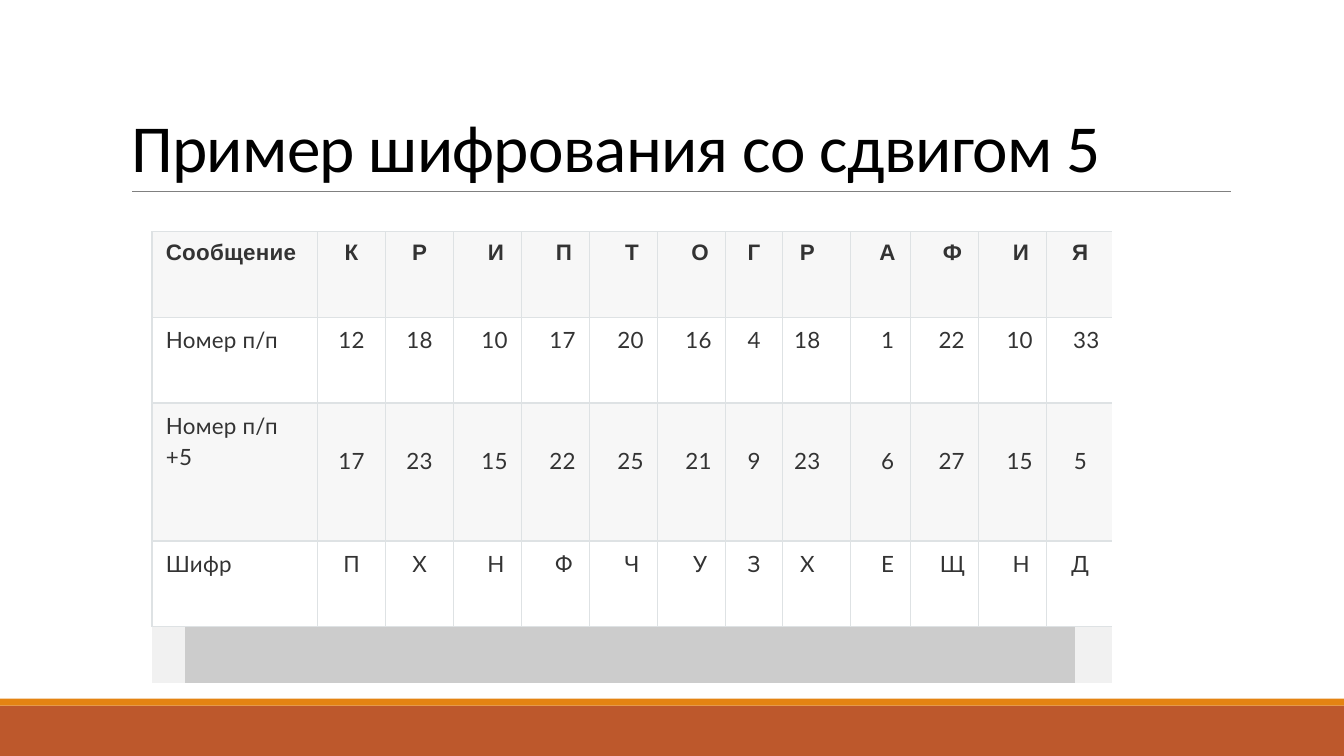
from lxml import etree
from pptx import Presentation
from pptx.dml.color import RGBColor
from pptx.enum import shapes, text
from pptx.oxml import ns
from pptx.util import Pt

BLACK = RGBColor(0x00, 0x00, 0x00)
INK = RGBColor(0x33, 0x33, 0x33)
RULE_GREY = RGBColor(0x80, 0x80, 0x80)
BORDER = RGBColor(0xDE, 0xE2, 0xE4)
BAND = RGBColor(0xF7, 0xF7, 0xF7)
TRACK = RGBColor(0xF1, 0xF1, 0xF1)
THUMB = RGBColor(0xCC, 0xCC, 0xCC)
RUST = RGBColor(0xBD, 0x58, 0x2C)
ORANGE = RGBColor(0xE4, 0x83, 0x12)

LETTER, NUMBER = "letter", "number"
# Label lines, signs, kind of sign, row height, top margin of the signs, band
CIPHER_ROWS = [
    (["Сообщение"], "К Р И П Т О Г Р А Ф И Я", LETTER, 61.2, 6.5, BAND),
    (["Номер п/п"], "12 18 10 17 20 16 4 18 1 22 10 33", NUMBER, 61.2, 6.5, None),
    (["Номер п/п", "+5"], "17 23 15 22 25 21 9 23 6 27 15 5", NUMBER, 98.6, 31.5, BAND),
    (["Шифр"], "П Х Н Ф Ч У З Х Е Щ Н Д", LETTER, 61.2, 6.5, None),
]
SCROLL_HEIGHT = 40
COLUMN_WIDTHS = [23.8, 94.5] + [48.6] * 6 + [40.6, 48.6, 43, 48.6, 48.6, 20, 26.6]
LETTER_INDENTS = [0, 0, 12, 12, 12, 12, 0, 0, 10, 11, 12, 1.5]
NUMBER_INDENT = 10
SHORT_COLUMN = 7  # the second "Р" stands left of its column's middle
LAST = len(COLUMN_WIDTHS) - 1


def write(frame, lines, size=16, font="Lato", color=INK, bold=False, spacing=0,
          align=text.PP_ALIGN.LEFT, line_spacing=None, gap=0):
    """Fill a text frame, one paragraph a line."""
    for number, line in enumerate(lines):
        paragraph = frame.add_paragraph() if number else frame.paragraphs[0]
        paragraph.alignment = align
        paragraph.line_spacing = line_spacing
        paragraph.space_before = Pt(gap if number else 0)
        run = paragraph.add_run()
        run.text = line
        run.font.size = Pt(size)
        run.font.name = font
        run.font.bold = bold
        run.font.color.rgb = color
        run._r.get_or_add_rPr().set("spc", str(round(spacing * 100)))


def set_margins(cell, left=0, top=6.5, right=0):
    cell.margin_left, cell.margin_top = Pt(left), Pt(top)
    cell.margin_right, cell.margin_bottom = Pt(right), Pt(0)


def set_fill(cell, color):
    if color is None:
        cell.fill.background()
    else:
        cell.fill.solid()
        cell.fill.fore_color.rgb = color


def set_borders(cell, visible):
    """Draw the sides named in visible (of L, R, T, B) and clear the others."""
    properties = cell._tc.get_or_add_tcPr()
    for place, side in enumerate("LRTB"):
        line = etree.Element(ns.qn("a:ln" + side), w=str(Pt(1)))
        if side in visible:
            paint = etree.SubElement(line, ns.qn("a:solidFill"))
            etree.SubElement(paint, ns.qn("a:srgbClr"), val=str(BORDER))
        else:
            etree.SubElement(line, ns.qn("a:noFill"))
        properties.insert(place, line)


def add_footer_bars(slide, left, top, width, height):
    stripe = 5
    for offset, depth, color in ((stripe, height - stripe, RUST), (0, stripe, ORANGE)):
        bar = slide.shapes.add_shape(shapes.MSO_SHAPE.RECTANGLE, Pt(left),
                                     Pt(top + offset), Pt(width), Pt(depth))
        bar.shadow.inherit = False
        bar.fill.solid()
        bar.fill.fore_color.rgb = color
        bar.line.fill.background()


def add_heading(slide, left, top, width, height):
    heading = slide.shapes.title
    heading.left, heading.top = Pt(left), Pt(top)
    heading.width, heading.height = Pt(width), Pt(height)
    frame = heading.text_frame
    frame.auto_size = text.MSO_AUTO_SIZE.NONE
    frame.word_wrap = True
    frame.vertical_anchor = text.MSO_ANCHOR.BOTTOM
    write(frame, ["Пример шифрования со сдвигом 5"], size=48, font="Calibri",
          color=BLACK, spacing=-0.5, line_spacing=0.85)
    # Rule under the heading
    rule_left, bottom = left + 8, top + height
    rule = slide.shapes.add_connector(shapes.MSO_CONNECTOR.STRAIGHT, Pt(rule_left),
                                      Pt(bottom), Pt(rule_left + 785), Pt(bottom))
    rule.line.color.rgb = RULE_GREY
    rule.line.width = Pt(0.5)
    etree.SubElement(rule._element.spPr, ns.qn("a:effectLst"))


def sign_indent(column, sign, kind):
    indent = LETTER_INDENTS[column]
    if kind == NUMBER:
        return NUMBER_INDENT if len(sign) == 2 and indent else min(indent, NUMBER_INDENT)
    return indent


def add_cipher_table(slide, left, top):
    heights = [row[3] for row in CIPHER_ROWS] + [SCROLL_HEIGHT]
    table = slide.shapes.add_table(len(heights), len(COLUMN_WIDTHS), Pt(left), Pt(top),
                                   Pt(sum(COLUMN_WIDTHS)), Pt(sum(heights))).table
    table.first_row = table.horz_banding = False
    for column, width in zip(table.columns, COLUMN_WIDTHS):
        column.width = Pt(width)
    for row, height in zip(table.rows, heights):
        row.height = Pt(height)

    # Message, numbers and cipher
    for r, (label, signs, kind, _, sign_top, band) in enumerate(CIPHER_ROWS):
        for c in range(LAST + 1):
            cell = table.cell(r, c)
            set_fill(cell, band)
            set_borders(cell, "TB" + "L" * (c < LAST) + "R" * (c < LAST - 1))
        table.cell(r, 0).merge(table.cell(r, 1))
        table.cell(r, LAST - 1).merge(table.cell(r, LAST))
        look = {"font": "Arial", "bold": True} if r == 0 else {}
        set_margins(table.cell(r, 0), left=10)
        write(table.cell(r, 0).text_frame, label, spacing=0.2, gap=3.6, **look)
        for c, sign in enumerate(signs.split()):
            cell = table.cell(r, c + 2)
            set_margins(cell, left=sign_indent(c, sign, kind), top=sign_top,
                        right=13 if c == SHORT_COLUMN else 0)
            write(cell.text_frame, [sign], align=text.PP_ALIGN.CENTER,
                  spacing=0.2 if len(sign) == 2 else 0, **look)

    # Scroll bar row
    scroll = len(CIPHER_ROWS)
    for c in range(LAST + 1):
        set_fill(table.cell(scroll, c), TRACK if c in (0, LAST) else THUMB)
        set_borders(table.cell(scroll, c), "T")
    table.cell(scroll, 1).merge(table.cell(scroll, LAST - 1))


def main():
    deck = Presentation()
    deck.slide_width, deck.slide_height = Pt(960), Pt(540)
    slide = deck.slides.add_slide(deck.slide_layouts[5])
    add_footer_bars(slide, 0, 499, 960, 41)
    add_heading(slide, 86.4, 22.5, 792, 114.3)
    add_cipher_table(slide, 108.5, 165.5)
    deck.save("out.pptx")


if __name__ == "__main__":
    main()
